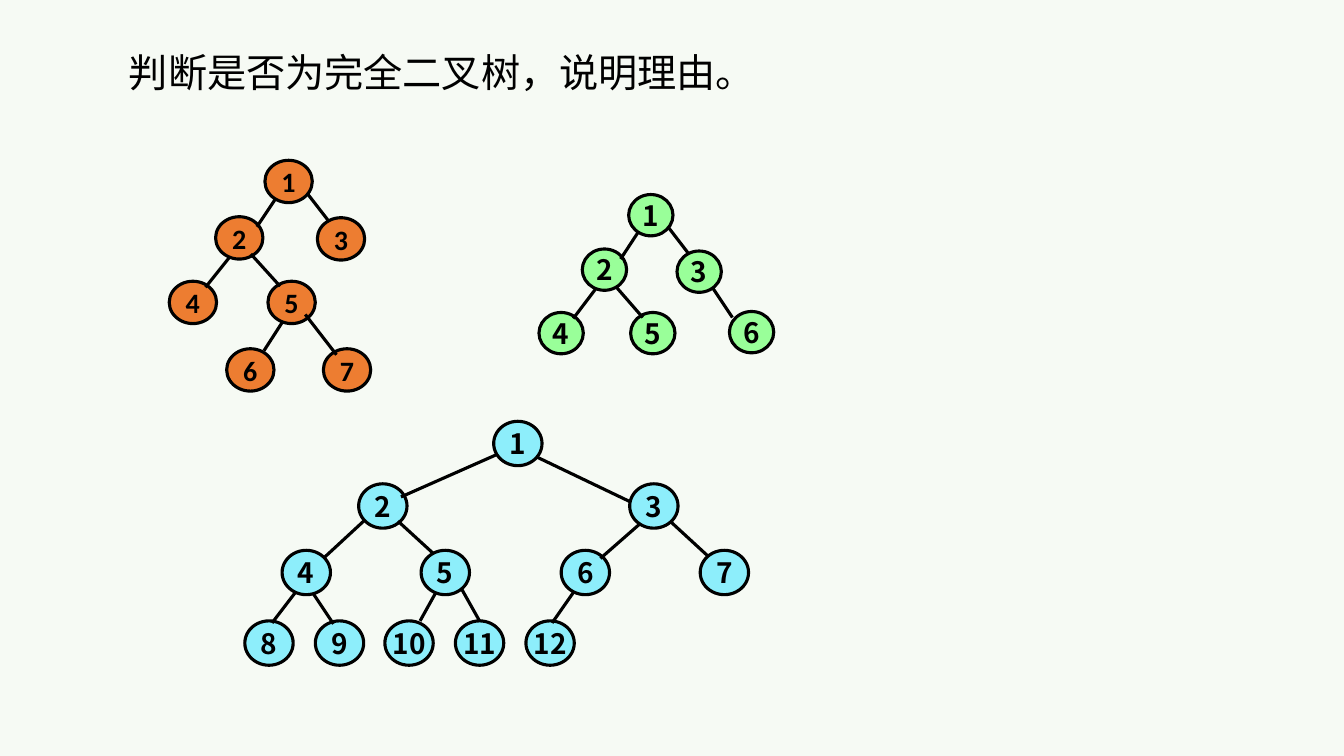
from pptx import Presentation
from pptx import util as u
from pptx.dml.color import RGBColor
from pptx.enum import shapes, text
from pptx.oxml.ns import qn
from lxml import etree

PX = 9144  # EMU per px, 100 px to the inch
COLORS = {
    "background": "F6FAF4",
    "ink": "000000",
    "orange": "ED7D31",
    "blue": "8DEEFB",
    "green": "99FF99",
}
LATIN, CJK = "Calibri", "Noto Sans CJK SC"

# Each tree: node size, left/top of every node by label, ends of every edge
TREES = [
    dict(
        color="orange", font=LATIN, size=(47, 42),
        nodes={1: (263, 159), 2: (214, 215), 3: (315, 216), 4: (168, 279),
               5: (266, 279), 6: (225, 346), 7: (321, 346)},
        edges=[(273, 198, 255, 225), (305, 192, 326, 219),
               (228, 255, 204, 285), (249, 252, 278, 284),
               (280, 320, 262, 348), (303, 312, 334, 352)],
    ),
    dict(
        color="blue", font=CJK, size=(48, 44),
        nodes={1: (490, 418), 2: (356, 480), 3: (625, 480),
               **{4 + i: (280 + round(138.4 * i), 546) for i in range(4)},
               **{8 + i: (243 + round(69.7 * i), 616) for i in range(5)}},
        edges=[(493, 451, 398, 493), (532, 453, 626, 498),
               (361, 517, 322, 553), (395, 517, 430, 549),
               (636, 519, 596, 554), (665, 517, 702, 551),
               (293, 588, 270, 618), (311, 589, 331, 619),
               (432, 589, 417, 616), (458, 584, 476, 616),
               (569, 588, 548, 618)],
    ),
    dict(
        color="green", font=CJK, size=(44, 41),
        nodes={1: (624, 193), 2: (578, 247), 3: (672, 249),
               4: (535, 310), 5: (626, 310), 6: (724, 309)},
        edges=[(633, 231, 616, 257), (663, 225, 683, 251),
               (591, 287, 569, 316), (611, 284, 638, 315),
               (707, 285, 727, 315)],
    ),
]


def px(*values):
    return [u.Emu(v * PX) for v in values]


def rgb(name):
    return RGBColor.from_string(COLORS[name])


def add_run(p, words, font, size, bold=False):
    r = p.add_run()
    r.text = words
    r.font.name = font
    r.font.size = u.Pt(size)
    r.font.bold = bold
    r.font.color.rgb = rgb("ink")
    return r


def style_line(sp):
    sp.line.color.rgb = rgb("ink")
    sp.line.width = u.Pt(2.25)


def add_title(s, words):
    sp = s.shapes.title
    sp.left, sp.top, sp.width, sp.height = px(118, 43, 852, 57)
    tf = sp.text_frame
    tf.auto_size = text.MSO_AUTO_SIZE.NONE
    tf.vertical_anchor = text.MSO_ANCHOR.BOTTOM
    p = tf.paragraphs[0]
    p.alignment = text.PP_ALIGN.LEFT
    p.line_spacing = 0.9
    r = add_run(p, words, LATIN, 28)
    # East Asian typeface
    ea = etree.SubElement(r.font._element, qn("a:ea"))
    ea.set("typeface", CJK)


def add_node(group, label, pos, size, color, font):
    sp = group.shapes.add_shape(shapes.MSO_SHAPE.OVAL, *px(*pos, *size))
    sp.shadow.inherit = False
    sp.fill.solid()
    sp.fill.fore_color.rgb = rgb(color)
    style_line(sp)
    tf = sp.text_frame
    tf.word_wrap = False
    tf.vertical_anchor = text.MSO_ANCHOR.MIDDLE
    p = tf.paragraphs[0]
    p.alignment = text.PP_ALIGN.CENTER
    add_run(p, str(label), font, 20, bold=True)


def add_edge(group, ends):
    line = group.shapes.add_connector(shapes.MSO_CONNECTOR.STRAIGHT, *px(*ends))
    style_line(line)
    etree.SubElement(line._element.spPr, qn("a:effectLst"))


def add_tree(s, color, font, size, nodes, edges):
    group = s.shapes.add_group_shape()
    for label, pos in nodes.items():
        add_node(group, label, pos, size, color, font)
    for ends in edges:
        add_edge(group, ends)


def main():
    prs = Presentation()
    prs.slide_width, prs.slide_height = px(1334, 750)
    s = prs.slides.add_slide(prs.slide_layouts[5])
    s.background.fill.solid()
    s.background.fill.fore_color.rgb = rgb("background")

    # Question, then the three trees
    add_title(s, "判断是否为完全二叉树，说明理由。")
    for tree in TREES:
        add_tree(s, **tree)
    prs.save("out.pptx")


if __name__ == "__main__":
    main()
